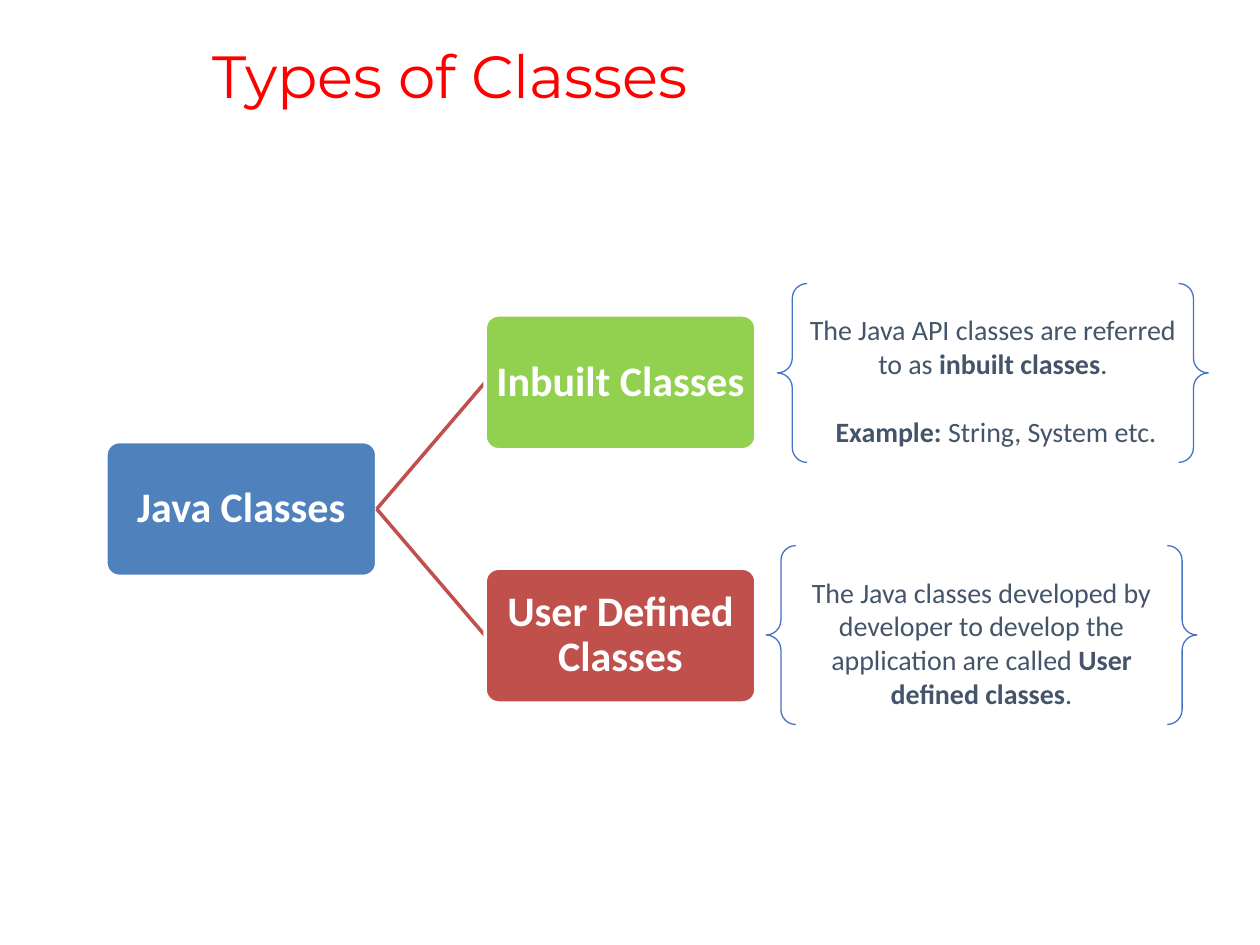
from lxml.etree import SubElement
from pptx import Presentation
from pptx.dml.color import RGBColor
from pptx.enum.shapes import MSO_CONNECTOR, MSO_SHAPE
from pptx.enum.text import MSO_ANCHOR, PP_ALIGN
from pptx.oxml.ns import qn
from pptx.util import Inches, Pt

# Content: a brace holds paragraphs, each a list of (text, bold) runs
TITLE = "Types of Classes"
ROOT = ("Java Classes", "blue")
BRANCHES = [
    {"label": "Inbuilt Classes", "color": "green", "top": 2.5,
     "brace_at": (6.17, 2.25),
     "note": [[("The Java API classes are referred to as ", False),
               ("inbuilt classes", True), (".", False)],
              [(" ", False), ("Example:", True),
               (" String, System etc.", False)]]},
    {"label": "User Defined Classes", "color": "red", "top": 4.51,
     "brace_at": (6.08, 4.33),
     "note": [[("The Java classes developed by developer to develop the "
                "application are called ", False),
               ("User defined classes", True), (".", False)]]},
]

# Format
COLORS = {"title": "FF0000", "blue": "4F81BD", "green": "92D050",
          "red": "C0504C", "white": "FFFFFF", "brace": "4472C4",
          "note": "44546A"}
TITLE_FONT = {"name": "Montserrat", "size": Pt(34), "bold": False}
LABEL_FONT = {"name": "Calibri", "size": Pt(24), "bold": True}
NOTE_FONT = {"name": "Calibri", "size": Pt(16)}
LABEL_FRAME = {"word_wrap": True, "vertical_anchor": MSO_ANCHOR.MIDDLE,
               **{f"margin_{side}": Inches(0.05)
                  for side in ("left", "top", "right", "bottom")}}
NOTE_FRAME = {"word_wrap": True, "vertical_anchor": MSO_ANCHOR.MIDDLE}

# Layout
BOX_W, BOX_H = 2.15, 1.07
ROOT_LEFT, BRANCH_LEFT = 0.84, 3.85
ROOT_TOP = sum(branch["top"] for branch in BRANCHES) / len(BRANCHES)
BRACE_W, BRACE_H = 3.42, 1.42


def rgb(name):
    return RGBColor.from_string(COLORS[name])


def apply(target, values):
    for name, value in values.items():
        setattr(target, name, value)


def add_run(paragraph, text, font, color):
    run = paragraph.add_run()
    run.text = text
    apply(run.font, font)
    run.font.color.rgb = rgb(color)


def add_outline(kind, at, size, adjust, color, width):
    shape = slide.shapes.add_shape(kind, *map(Inches, at + size))
    shape.adjustments[0] = adjust
    shape.shadow.inherit = False
    shape.line.color.rgb = rgb(color)
    shape.line.width = Pt(width)
    return shape


def add_box(label, color, left, top):
    box = add_outline(MSO_SHAPE.ROUNDED_RECTANGLE, (left, top),
                      (BOX_W, BOX_H), 0.1, "white", 2)
    box.fill.solid()
    box.fill.fore_color.rgb = rgb(color)
    apply(box.text_frame, LABEL_FRAME)
    paragraph = box.text_frame.paragraphs[0]
    apply(paragraph, {"alignment": PP_ALIGN.CENTER, "line_spacing": 0.9})
    add_run(paragraph, label, LABEL_FONT, "white")


def add_link(top):
    ends = (ROOT_LEFT + BOX_W, ROOT_TOP + BOX_H / 2,
            BRANCH_LEFT, top + BOX_H / 2)
    link = slide.shapes.add_connector(MSO_CONNECTOR.STRAIGHT,
                                      *map(Inches, ends))
    link.line.color.rgb = rgb("red")
    link.line.width = Pt(2)
    SubElement(link._element.spPr, qn("a:effectLst"))


def add_brace(note, at):
    brace = add_outline(MSO_SHAPE.DOUBLE_BRACE, at, (BRACE_W, BRACE_H),
                        0.083, "brace", 0.75)
    brace.fill.background()
    frame = brace.text_frame
    apply(frame, NOTE_FRAME)
    for index, runs in enumerate(note):
        paragraph = frame.add_paragraph() if index else frame.paragraphs[0]
        paragraph.alignment = PP_ALIGN.CENTER
        paragraph.space_before = Pt(19.5 if index else 0)
        for text, bold in runs:
            add_run(paragraph, text, {**NOTE_FONT, "bold": bold}, "note")


deck = Presentation()
deck.slide_width, deck.slide_height = Inches(10), Inches(7.5)
slide = deck.slides.add_slide(deck.slide_layouts[5])

# Title
title = slide.shapes.title
apply(title, {"left": Inches(1.59), "top": Inches(0.01),
              "width": Inches(8.41), "height": Inches(1.24)})
title.text_frame.vertical_anchor = MSO_ANCHOR.MIDDLE
heading = title.text_frame.paragraphs[0]
apply(heading, {"alignment": PP_ALIGN.LEFT, "line_spacing": 0.9})
add_run(heading, TITLE, TITLE_FONT, "title")

# Class tree
add_box(*ROOT, ROOT_LEFT, ROOT_TOP)
for branch in BRANCHES:
    add_link(branch["top"])
    add_box(branch["label"], branch["color"], BRANCH_LEFT, branch["top"])

# Explanations
for branch in BRANCHES:
    add_brace(branch["note"], branch["brace_at"])

deck.save("out.pptx")
